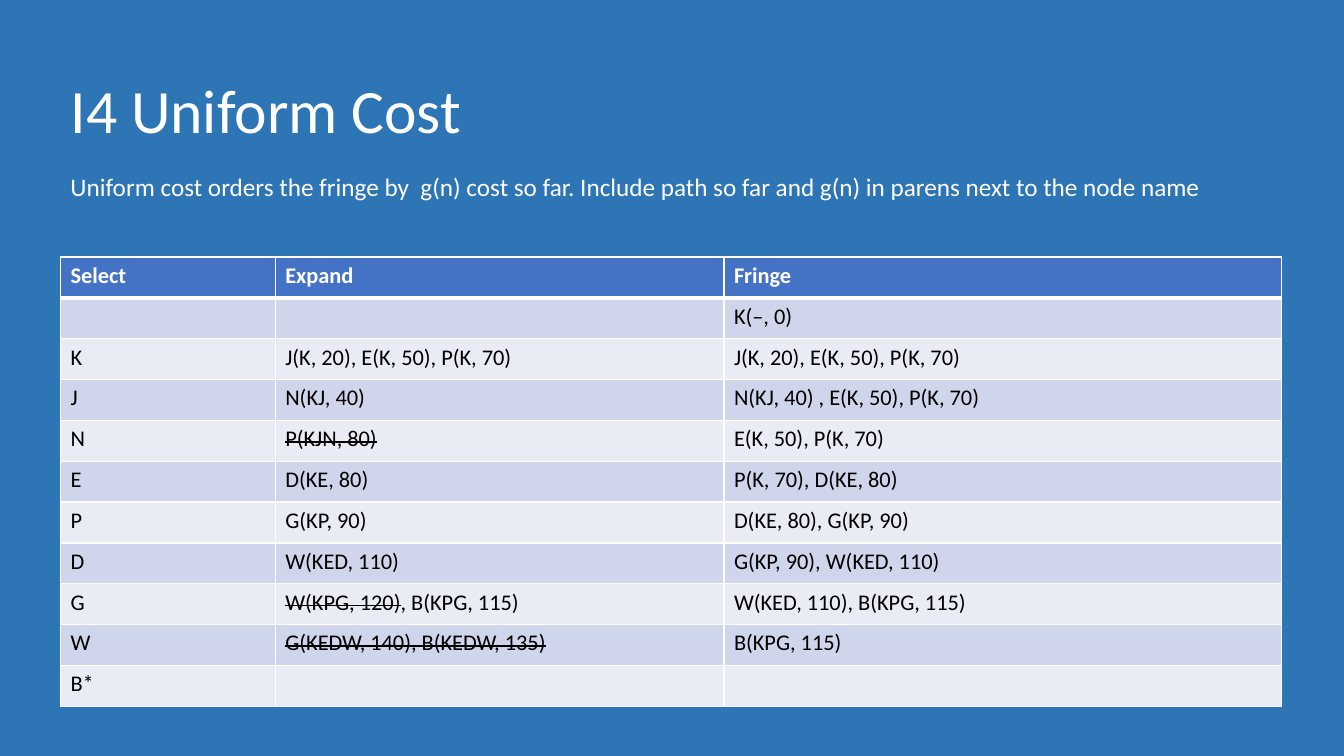
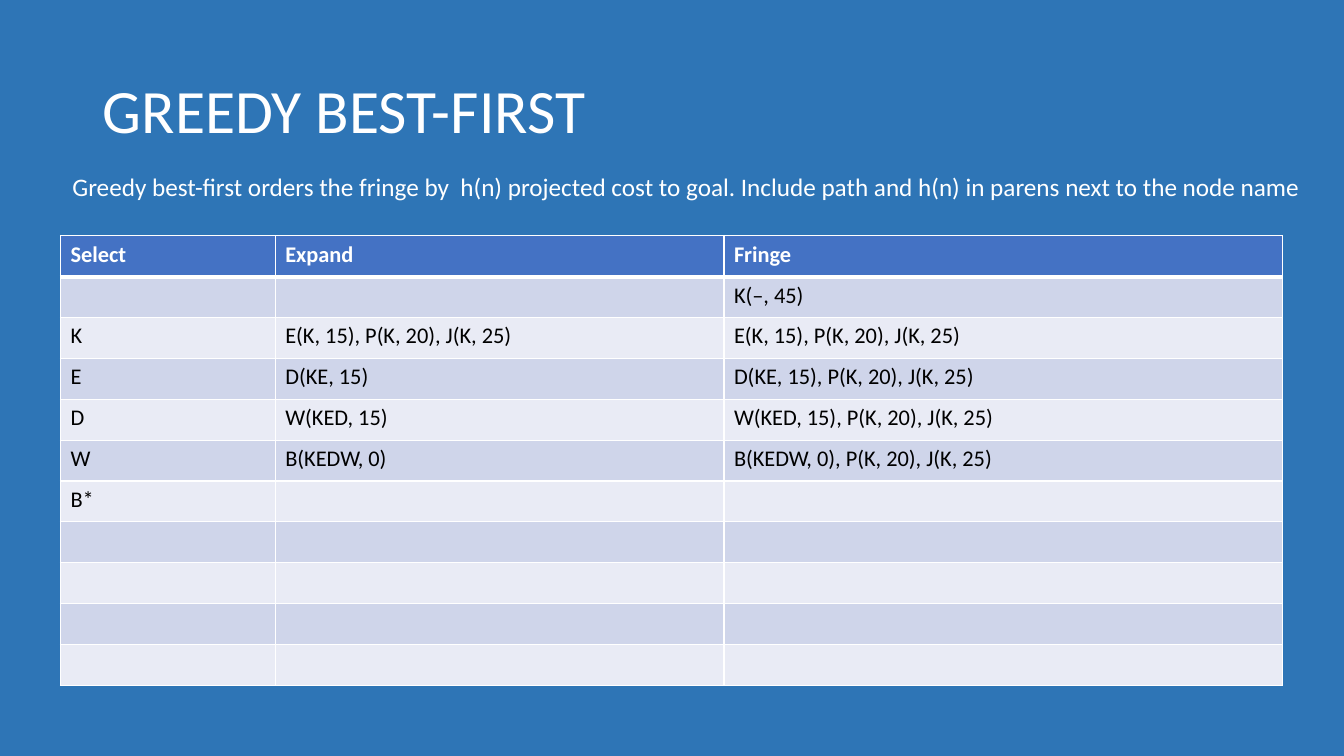
import dataclasses
import pptx
import pptx.util
import pptx.dml.color
import pptx.enum.text
import pptx.oxml
import pptx.oxml.ns

Inches = pptx.util.Inches
Pt = pptx.util.Pt


@dataclasses.dataclass(frozen=True)
class Theme:
    font: str = "Calibri"
    back: str = "2E75B6"
    light: str = "FFFFFF"
    dark: str = "000000"
    head: str = "4472C4"
    bands: tuple = ("CFD5EA", "E9EBF5")
    title: int = 44
    note: int = 18
    cell: int = 16
    thin: int = 1
    thick: int = 3


THEME = Theme()
HEADS = ("Select", "Expand", "Fringe")
COUNT = 11
HEIGHT = 4.46

UNIFORM = [
    ("", "", "K(–, 0)"),
    ("K", "J(K, 20), E(K, 50), P(K, 70)", "J(K, 20), E(K, 50), P(K, 70)"),
    ("J", "N(KJ, 40)", "N(KJ, 40) , E(K, 50), P(K, 70)"),
    ("N", "~P(KJN, 80)~", "E(K, 50), P(K, 70)"),
    ("E", "D(KE, 80)", "P(K, 70), D(KE, 80)"),
    ("P", "G(KP, 90)", "D(KE, 80), G(KP, 90)"),
    ("D", "W(KED, 110)", "G(KP, 90), W(KED, 110)"),
    ("G", "~W(KPG, 120)~, B(KPG, 115)", "W(KED, 110), B(KPG, 115)"),
    ("W", "~G(KEDW, 140), B(KEDW, 135)~", "B(KPG, 115)"),
    ("B*", "", ""),
]

GREEDY = [
    ("", "", "K(–, 45)"),
    ("K", "E(K, 15), P(K, 20), J(K, 25)", "E(K, 15), P(K, 20), J(K, 25)"),
    ("E", "D(KE, 15)", "D(KE, 15), P(K, 20), J(K, 25)"),
    ("D", "W(KED, 15)", "W(KED, 15), P(K, 20), J(K, 25)"),
    ("W", "B(KEDW, 0)", "B(KEDW, 0), P(K, 20), J(K, 25)"),
    ("B*", "", ""),
]


def color(code):
    return pptx.dml.color.RGBColor.from_string(code)


def add_run(para, text, size, code, bold=False, strike=False):
    run = para.add_run()
    run.text = text
    run.font.name = THEME.font
    run.font.size = Pt(size)
    run.font.bold = bold
    run.font.color.rgb = color(code)
    if strike:
        run._r.get_or_add_rPr().set("strike", "sngStrike")


def add_title(slide, text, left):
    title = slide.shapes.title
    title.left, title.top = Inches(left), Inches(0.4)
    title.width, title.height = Inches(11.5), Inches(1.45)
    frame = title.text_frame
    frame.word_wrap = True
    frame.vertical_anchor = pptx.enum.text.MSO_ANCHOR.MIDDLE
    para = frame.paragraphs[0]
    para.alignment = pptx.enum.text.PP_ALIGN.LEFT
    para.line_spacing = 0.9
    add_run(para, text, THEME.title, THEME.light)


def add_note(slide, text, left, width):
    box = slide.shapes.add_textbox(
        Inches(left), Inches(1.65), Inches(width), Inches(0.4))
    frame = box.text_frame
    frame.word_wrap = False
    frame.auto_size = pptx.enum.text.MSO_AUTO_SIZE.SHAPE_TO_FIT_TEXT
    add_run(frame.paragraphs[0], text, THEME.note, THEME.light)


def add_edge(cell, side, width):
    space = pptx.oxml.ns.nsdecls("a")
    line = pptx.oxml.parse_xml(
        f'<a:ln{side} {space} w="{Pt(width)}"><a:solidFill>'
        f'<a:srgbClr val="{THEME.light}"/></a:solidFill></a:ln{side}>')
    cell._tc.get_or_add_tcPr().append(line)


def fill_cell(cell, text, row):
    head = row == 0
    for side in "LRTB":
        thick = (head and side == "B") or (row == 1 and side == "T")
        add_edge(cell, side, THEME.thick if thick else THEME.thin)
    cell.fill.solid()
    cell.fill.fore_color.rgb = color(
        THEME.head if head else THEME.bands[(row - 1) % 2])
    para = cell.text_frame.paragraphs[0]
    code = THEME.light if head else THEME.dark
    for part, piece in enumerate(text.split("~")):
        if piece:
            add_run(para, piece, THEME.cell, code, head, part % 2 == 1)


def add_grid(slide, rows, top, widths):
    blanks = [("",) * len(HEADS)] * (COUNT - 1 - len(rows))
    lines = [HEADS, *rows, *blanks]
    table = slide.shapes.add_table(
        COUNT, len(HEADS), Inches(0.6), Inches(top),
        Inches(sum(widths)), Inches(HEIGHT)).table
    for column, width in zip(table.columns, widths):
        column.width = Inches(width)
    for row, line in enumerate(lines):
        table.rows[row].height = Inches(HEIGHT / COUNT)
        for col, text in enumerate(line):
            fill_cell(table.cell(row, col), text, row)


def main():
    deck = pptx.Presentation()
    deck.slide_width, deck.slide_height = Inches(13.33), Inches(7.5)
    back = deck.slide_master.background.fill
    back.solid()
    back.fore_color.rgb = color(THEME.back)
    layout = deck.slide_layouts.get_by_name("Title Only")

    slide = deck.slides.add_slide(layout)
    add_title(slide, "I4 Uniform Cost", 0.6)
    add_grid(slide, UNIFORM, 2.55, (2.13, 4.45, 5.53))
    add_note(slide, "Uniform cost orders the fringe by  g(n) cost so far. "
             "Include path so far and g(n) in parens next to the node name",
             0.6, 11.55)

    slide = deck.slides.add_slide(layout)
    add_title(slide, "GREEDY BEST-FIRST", 0.92)
    add_grid(slide, GREEDY, 2.34, (2.13, 4.45, 5.54))
    add_note(slide, "Greedy best-first orders the fringe by  h(n) projected "
             "cost to goal. Include path and h(n) in parens next to the "
             "node name", 0.62, 12.53)

    deck.save("out.pptx")


if __name__ == "__main__":
    main()
